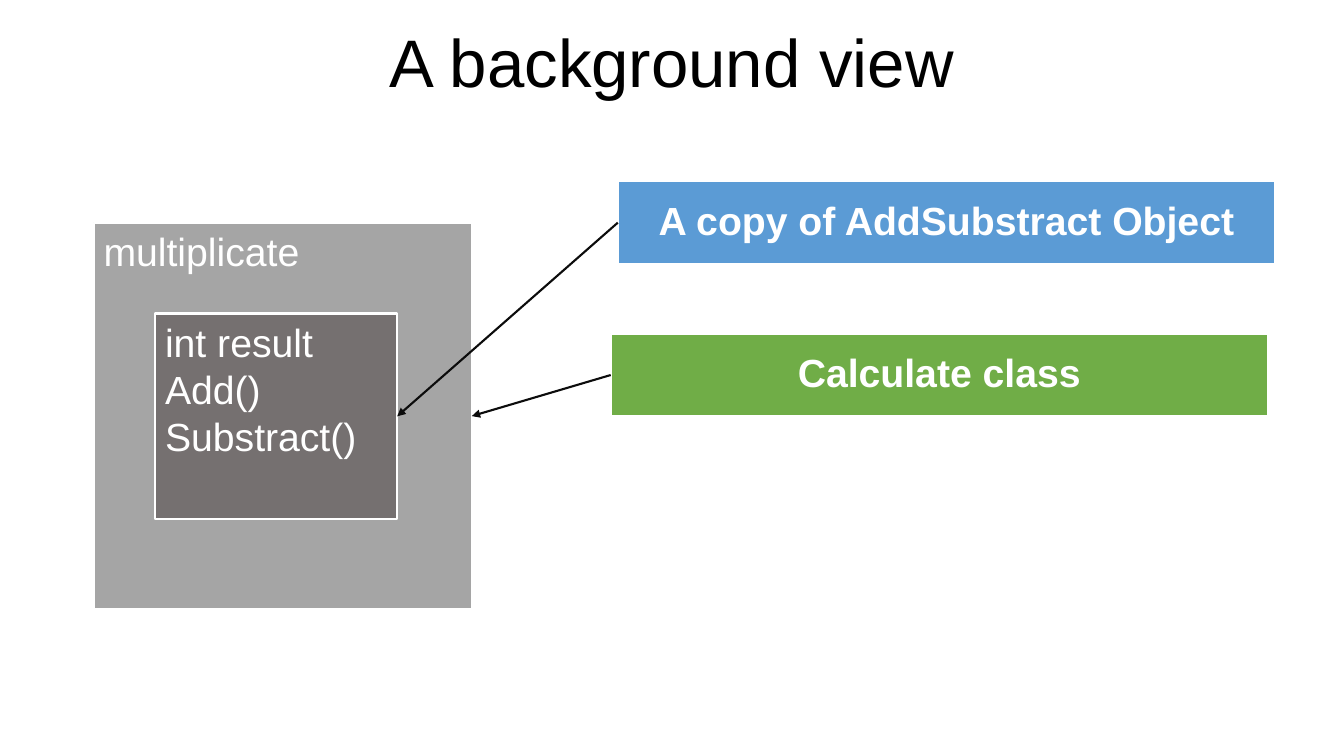
from dataclasses import dataclass

from lxml.etree import SubElement
from pptx import Presentation
from pptx.dml.color import RGBColor
from pptx.enum.shapes import MSO_CONNECTOR, MSO_SHAPE
from pptx.enum.text import MSO_ANCHOR, MSO_AUTO_SIZE, PP_ALIGN
from pptx.oxml.ns import qn
from pptx.shapes.autoshape import Shape
from pptx.slide import Slide
from pptx.text.text import TextFrame
from pptx.util import Cm, Pt

COLORS = {
    "black": "000000",
    "white": "FFFFFF",
    "arrow": "0C0C0C",
    "class": "A5A5A5",
    "object": "757070",
    "green": "70AD47",
    "blue": "5B9BD5",
}
FONT = "Arial"
SLIDE_WIDTH, SLIDE_HEIGHT = Cm(33.87), Cm(19.05)
LABEL_WIDTH, LABEL_HEIGHT = 16.56, 2.08
LEFT_SIDE, RIGHT_SIDE = 1, 3  # connection sites of a rectangle


@dataclass(frozen=True)
class Box:
    """A filled rectangle with text; lengths in centimetres."""
    lines: tuple[str, ...]
    left: float
    top: float
    width: float
    height: float
    fill: str
    is_label: bool = False


CALCULATE_CLASS = Box(("multiplicate",), 2.36, 5.61, 9.53, 9.75, "class")
ADD_SUBSTRACT_OBJECT = Box(("int result", "Add()", "Substract()"),
                           3.91, 7.9, 6.1, 5.18, "object")
CLASS_LABEL = Box(("Calculate class",), 15.39, 8.41,
                  LABEL_WIDTH, LABEL_HEIGHT, "green", True)
OBJECT_LABEL = Box(("A copy of AddSubstract Object",), 15.57, 4.57,
                   LABEL_WIDTH, LABEL_HEIGHT, "blue", True)


def color(name: str) -> RGBColor:
    return RGBColor.from_string(COLORS[name])


def write_lines(frame: TextFrame, lines: tuple[str, ...], size: int,
                color_name: str, centered: bool, bold: bool = False) -> None:
    frame.word_wrap = True
    frame.auto_size = MSO_AUTO_SIZE.NONE
    frame.vertical_anchor = MSO_ANCHOR.MIDDLE if centered else MSO_ANCHOR.TOP
    for index, line in enumerate(lines):
        paragraph = frame.add_paragraph() if index else frame.paragraphs[0]
        paragraph.alignment = PP_ALIGN.CENTER if centered else PP_ALIGN.LEFT
        paragraph.line_spacing = 0.9 if centered else 1.0
        run = paragraph.add_run()
        run.text = line
        run.font.name = FONT
        run.font.size = Pt(size)
        run.font.bold = bold
        run.font.color.rgb = color(color_name)


def draw_box(slide: Slide, box: Box) -> Shape:
    shape = slide.shapes.add_shape(
        MSO_SHAPE.RECTANGLE,
        Cm(box.left), Cm(box.top), Cm(box.width), Cm(box.height))
    shape.shadow.inherit = False
    shape.fill.solid()
    shape.fill.fore_color.rgb = color(box.fill)
    shape.line.color.rgb = color("white")
    shape.line.width = Pt(1.5)
    write_lines(shape.text_frame, box.lines, 28, "white",
                centered=box.is_label, bold=box.is_label)
    return shape


def draw_arrow(slide: Slide, label: Shape, target: Shape) -> None:
    """Point from the left side of a label to the right side of its target."""
    connector = slide.shapes.add_connector(MSO_CONNECTOR.STRAIGHT, 0, 0, 0, 0)
    connector.begin_connect(label, LEFT_SIDE)
    connector.end_connect(target, RIGHT_SIDE)
    connector.line.color.rgb = color("arrow")
    connector.line.width = Pt(1.5)
    properties = connector._element.spPr
    SubElement(properties.find(qn("a:ln")), qn("a:tailEnd"), type="triangle")
    SubElement(properties, qn("a:effectLst"))


def main() -> None:
    presentation = Presentation()
    presentation.slide_width = SLIDE_WIDTH
    presentation.slide_height = SLIDE_HEIGHT
    slide = presentation.slides.add_slide(presentation.slide_layouts[5])

    # Title
    title = slide.shapes.title
    title.left, title.top = Cm(0), Cm(0)
    title.width, title.height = SLIDE_WIDTH, Cm(3.3)
    write_lines(title.text_frame, ("A background view",), 48, "black",
                centered=True)

    # Class with the object nested in it
    calculate_class = draw_box(slide, CALCULATE_CLASS)
    add_substract_object = draw_box(slide, ADD_SUBSTRACT_OBJECT)

    # Labels and their arrows
    class_label = draw_box(slide, CLASS_LABEL)
    object_label = draw_box(slide, OBJECT_LABEL)
    draw_arrow(slide, object_label, add_substract_object)
    draw_arrow(slide, class_label, calculate_class)

    presentation.save("out.pptx")


main()
